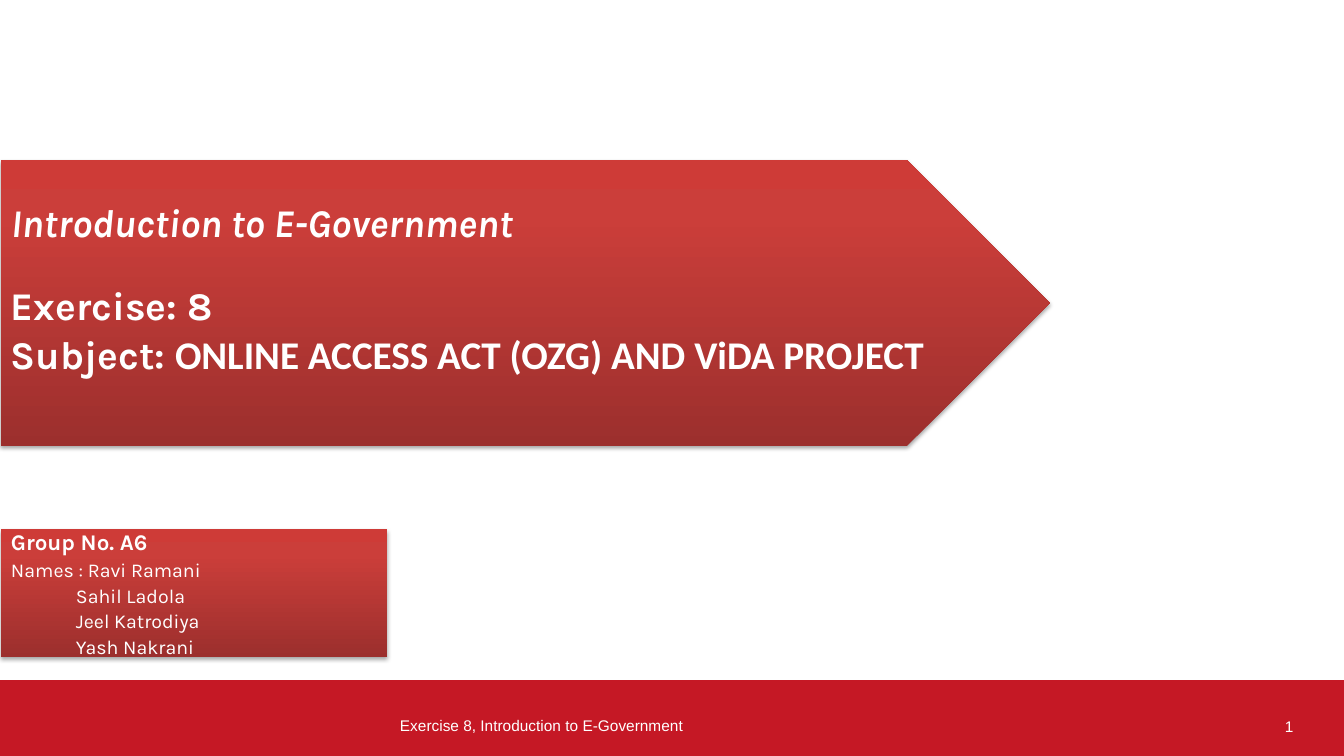
from dataclasses import dataclass

from lxml.etree import SubElement
from pptx import Presentation
from pptx.dml.color import RGBColor
from pptx.enum.shapes import MSO_SHAPE
from pptx.enum.text import MSO_ANCHOR, PP_ALIGN
from pptx.oxml.ns import qn
from pptx.util import Emu, Pt


@dataclass(frozen=True)
class Theme:
    band: str = "C51825"
    text: str = "FFFFFF"
    shadow: str = "000000"
    gradient: tuple = ((0, "9C2F2D"), (80, "CB3E3A"), (100, "CE3B37"))
    body_font: str = "Karla"
    subject_font: str = "Calibri"
    footer_font: str = "Arial"
    title_size: int = 28
    group_size: int = 16
    name_size: int = 14
    footer_size: int = 11


def px(value):
    return Emu(round(value * 914400 / 100.8))


class SlideBuilder:
    def __init__(self, slide, theme):
        self.slide = slide
        self.theme = theme

    def shape(self, kind, left, top, width, height):
        shape = self.slide.shapes.add_shape(kind, px(left), px(top), px(width), px(height))
        shape.shadow.inherit = False
        shape.line.fill.background()
        return shape

    def band(self, *box):
        shape = self.shape(MSO_SHAPE.RECTANGLE, *box)
        shape.fill.solid()
        shape.fill.fore_color.rgb = RGBColor.from_string(self.theme.band)

    def panel(self, kind, *box):
        """Add a shape with the red gradient and a soft shadow below it."""
        shape = self.shape(kind, *box)
        shape.fill.gradient()
        shape.fill.gradient_angle = 90
        properties = shape.element.spPr
        stops = properties.find(".//" + qn("a:gsLst"))
        for stop in list(stops):
            stops.remove(stop)
        for position, color in self.theme.gradient:
            stop = SubElement(stops, qn("a:gs"), pos=str(position * 1000))
            SubElement(stop, qn("a:srgbClr"), val=color)
        shadow = SubElement(properties.find(qn("a:effectLst")), qn("a:outerShdw"),
                            blurRad=str(Pt(3.1)), dist=str(Pt(1.8)),
                            dir="5400000", rotWithShape="0")
        color = SubElement(shadow, qn("a:srgbClr"), val=self.theme.shadow)
        SubElement(color, qn("a:alpha"), val="35000")
        return shape

    def frame(self, shape, left=0, top=0):
        frame = shape.text_frame
        frame.word_wrap = True
        frame.vertical_anchor = MSO_ANCHOR.TOP
        frame.margin_left, frame.margin_top = px(left), px(top)
        frame.margin_right = frame.margin_bottom = 0
        return frame

    def paragraph(self, frame, text, size, font, before=0, line=None, indent=0,
                  bold=False, italic=False):
        paragraph = frame.add_paragraph() if frame.text else frame.paragraphs[0]
        paragraph.text = text
        paragraph.alignment = PP_ALIGN.LEFT
        paragraph.space_before = Pt(before)
        if line:
            paragraph.line_spacing = Pt(line)
        if indent:
            paragraph._p.get_or_add_pPr().set("marL", str(px(indent)))
        self.format(paragraph.runs[0], size, font, bold, italic)
        return paragraph

    def format(self, run, size, font, bold=False, italic=False):
        run.font.size = Pt(size)
        run.font.name = font
        run.font.bold = bold
        run.font.italic = italic
        run.font.color.rgb = RGBColor.from_string(self.theme.text)

    def footer_text(self, text, *box):
        left, top, width, height = map(px, box)
        frame = self.frame(self.slide.shapes.add_textbox(left, top, width, height))
        self.paragraph(frame, text, self.theme.footer_size, self.theme.footer_font)


def main():
    presentation = Presentation()
    presentation.slide_width, presentation.slide_height = px(1344), px(756)
    slide = presentation.slides.add_slide(presentation.slide_layouts[6])
    theme = Theme()
    builder = SlideBuilder(slide, theme)

    # Footer
    builder.band(0, 680, 1344, 76)
    builder.footer_text("Exercise 8, Introduction to E-Government", 400, 716, 586, 19)
    builder.footer_text("1", 1285, 717, 20, 20)

    # Group members
    group = builder.frame(builder.panel(MSO_SHAPE.RECTANGLE, 1, 529, 386, 128), top=5)
    spacing = {"before": 3.4, "line": 15.1}
    builder.paragraph(group, "Group No. A6", theme.group_size, theme.body_font,
                      indent=10, bold=True, **spacing)
    builder.paragraph(group, "Names : Ravi Ramani", theme.name_size, theme.body_font,
                      indent=10, **spacing)
    for name in ("Sahil Ladola", "Jeel Katrodiya", "Yash Nakrani"):
        builder.paragraph(group, name, theme.name_size, theme.body_font,
                          indent=75, **spacing)

    # Title arrow
    title = builder.frame(builder.panel(MSO_SHAPE.PENTAGON, 1, 160, 1049, 286),
                          left=10, top=38)
    for text, before, italic in (("Introduction to E-Government", 1, True),
                                 ("Exercise: 8", 26, False),
                                 ("Subject: ", 1, False)):
        subject = builder.paragraph(title, text, theme.title_size, theme.body_font,
                                    before=before, bold=True, italic=italic)
    subject_name = subject.add_run()
    subject_name.text = "ONLINE ACCESS ACT (OZG) AND ViDA PROJECT"
    builder.format(subject_name, theme.title_size, theme.subject_font, bold=True)

    presentation.save("out.pptx")


if __name__ == "__main__":
    main()
